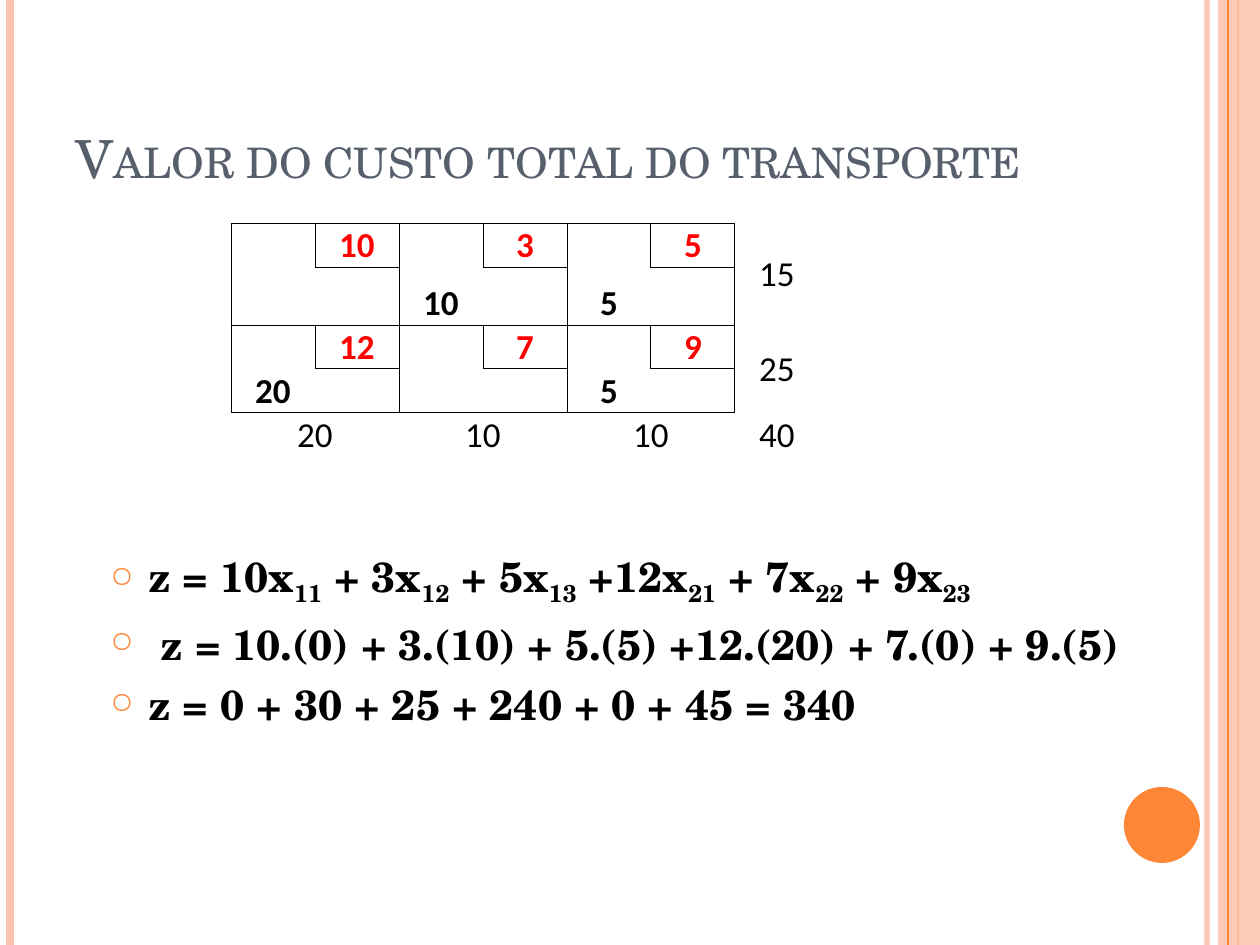
import pptx
import pptx.dml.color
import pptx.enum.shapes
import pptx.enum.text
import pptx.oxml
import pptx.oxml.ns
import pptx.util

PX = 914400 / 126
WIDTH, HEIGHT = 1260, 945
SERIF, SANS = "TeX Gyre Schola", "Calibri"
COLORS = {"peach": "FEC3AE", "orange": "FE8637", "slate": "575F6D",
          "black": "000000", "red": "FF0000"}
ANCHOR = pptx.enum.text.MSO_ANCHOR


def px(value):
    return pptx.util.Emu(round(value * PX))


def rgb(name):
    return pptx.dml.color.RGBColor.from_string(COLORS[name])


def add_xml(parent, tag, **attributes):
    child = pptx.oxml.parse_xml(f'<a:{tag} {pptx.oxml.ns.nsdecls("a")}/>')
    for key, value in attributes.items():
        child.set(key, str(value))
    parent.append(child)
    return child


def set_alpha(element, percent):
    for color in element.iter(pptx.oxml.ns.qn("a:srgbClr")):
        add_xml(color, "alpha", val=percent * 1000)


def set_font(font, name, size, color, bold=False):
    font.name, font.size, font.bold = name, pptx.util.Pt(size), bold
    font.color.rgb = rgb(color)


def add_rule(page, x, color, weight, alpha=100):
    rule = page.shapes.add_connector(
        pptx.enum.shapes.MSO_CONNECTOR.STRAIGHT, px(x), 0, px(x), px(HEIGHT))
    rule.line.color.rgb = rgb(color)
    rule.line.width = pptx.util.Pt(weight)
    if alpha < 100:
        set_alpha(rule._element.spPr, alpha)
    add_xml(rule._element.spPr, "effectLst")


def add_plain_shape(page, kind, box, color):
    shape = page.shapes.add_shape(kind, *map(px, box))
    shape.shadow.inherit = False
    shape.fill.solid()
    shape.fill.fore_color.rgb = rgb(color)
    shape.line.fill.background()
    return shape


def add_frame(page):
    shapes = pptx.enum.shapes.MSO_SHAPE
    add_rule(page, 1207, "peach", 3, 93)
    add_rule(page, 10, "peach", 4.5)
    add_rule(page, 1238, "orange", 1.5)
    band = add_plain_shape(page, shapes.RECTANGLE, (1218, 0, 42, HEIGHT), "peach")
    set_alpha(band._element.spPr, 87)
    add_rule(page, 1228, "orange", 0.75)
    add_plain_shape(page, shapes.OVAL, (1124, 787, 76, 76), "orange")


def add_text(page, box, anchor):
    frame = page.shapes.add_textbox(*map(px, box)).text_frame
    frame.word_wrap = True
    frame.vertical_anchor = anchor
    return frame


def add_title(page, box, text):
    para = add_text(page, box, ANCHOR.BOTTOM).paragraphs[0]
    span = para.add_run()
    span.text = text
    set_font(span.font, SERIF, 30, "slate")
    span._r.get_or_add_rPr().set("cap", "small")


def add_formulas(page, box, formulas):
    """Each formula is a list of pieces; every second piece is a subscript."""
    frame = add_text(page, box, ANCHOR.TOP)
    for index, pieces in enumerate(formulas):
        para = frame.add_paragraph() if index else frame.paragraphs[0]
        para.space_before = pptx.util.Pt(6)
        props = para._p.get_or_add_pPr()
        props.set("marL", str(px(38)))
        props.set("indent", str(px(-38)))
        add_xml(add_xml(props, "buClr"), "srgbClr", val=COLORS["orange"])
        add_xml(props, "buSzPct", val=70000)
        add_xml(props, "buChar", char="○")
        set_font(para.font, SERIF, 24, "black", True)
        for position, piece in enumerate(pieces):
            span = para.add_run()
            span.text = piece
            if position % 2:
                span._r.get_or_add_rPr().set("baseline", "-25000")


def outline(row, col, height, width):
    """Grid edges around a block of cells, as (direction, row, column)."""
    across = {("h", r, c) for r in (row, row + height)
              for c in range(col, col + width)}
    down = {("v", r, c) for c in (col, col + width)
            for r in range(row, row + height)}
    return across | down


def style_cell(cell, row, col, edges):
    sides = {"lnL": ("v", row, col), "lnR": ("v", row, col + cell.span_width),
             "lnT": ("h", row, col), "lnB": ("h", row + cell.span_height, col)}
    props = cell._tc.get_or_add_tcPr()
    for tag, edge in sides.items():
        border = add_xml(props, tag, w=pptx.util.Pt(0.5))
        if edge in edges:
            add_xml(add_xml(border, "solidFill"), "srgbClr", val=COLORS["black"])
        else:
            add_xml(border, "noFill")
    cell.fill.background()
    cell.margin_left = cell.margin_right = cell.margin_top = px(1)
    cell.margin_bottom = 0


def add_transport_table(page, left, top):
    column_width, row_heights = 84, [27, 44, 58, 44, 44, 44, 27, 27]
    columns = 9
    costs = [[10, 3, 5], [12, 7, 9]]
    shipments = [[None, 10, 5], [20, None, 5]]
    supply, demand, total = [15, 25], [20, 10, 10], 40

    grid = page.shapes.add_table(
        len(row_heights), columns, px(left), px(top),
        px(column_width * columns), px(sum(row_heights))).table
    grid.first_row = grid.horz_banding = False
    for column in grid.columns:
        column.width = px(column_width)
    for row, height in zip(grid.rows, row_heights):
        row.height = px(height)

    # Values by cell: text, colour, bold; and the edges of blocks and cost boxes
    values, edges = {}, set()
    for i, amount in enumerate(supply):
        row = 1 + 2 * i
        values[row, 7] = (amount, "black", False)
        grid.cell(row, 7).merge(grid.cell(row + 1, 7))
        for j, cost in enumerate(costs[i]):
            col = 1 + 2 * j
            values[row, col + 1] = (cost, "red", True)
            if shipments[i][j] is not None:
                values[row + 1, col] = (shipments[i][j], "black", True)
            edges |= outline(row, col, 2, 2) | outline(row, col + 1, 1, 1)
    for j, amount in enumerate(demand):
        col = 1 + 2 * j
        values[5, col] = (amount, "black", False)
        grid.cell(5, col).merge(grid.cell(5, col + 1))
    values[5, 7] = (total, "black", False)
    for row, col in ((1, 1), (3, 3)):
        grid.cell(row, col).merge(grid.cell(row + 1, col))

    for row in range(len(row_heights)):
        for col in range(columns):
            cell = grid.cell(row, col)
            style_cell(cell, row, col, edges)
            para = cell.text_frame.paragraphs[0]
            if (row, col) not in values:
                add_xml(para._p, "endParaRPr", sz=800)
                continue
            amount, color, bold = values[row, col]
            cell.vertical_anchor = (
                ANCHOR.MIDDLE if cell.span_height > 1 else ANCHOR.BOTTOM)
            para.alignment = pptx.enum.text.PP_ALIGN.CENTER
            span = para.add_run()
            span.text = str(amount)
            set_font(span.font, SANS, 20, color, bold)


def main():
    deck = pptx.Presentation()
    deck.slide_width, deck.slide_height = px(WIDTH), px(HEIGHT)
    page = deck.slides.add_slide(deck.slide_layouts[6])
    add_frame(page)
    add_title(page, (63, 38, 1029, 157), "Valor do custo total do transporte")
    add_formulas(page, (98, 544, 1082, 306), [
        ["z = 10x", "11", " + 3x", "12", " + 5x", "13",
         " +12x", "21", " + 7x", "22", " + 9x", "23"],
        [" z = 10.(0) + 3.(10) + 5.(5) +12.(20) + 7.(0) + 9.(5)"],
        ["z = 0 + 30 + 25 + 240 + 0 + 45 = 340"],
    ])
    add_transport_table(page, 147, 196)
    deck.save("out.pptx")


if __name__ == "__main__":
    main()
